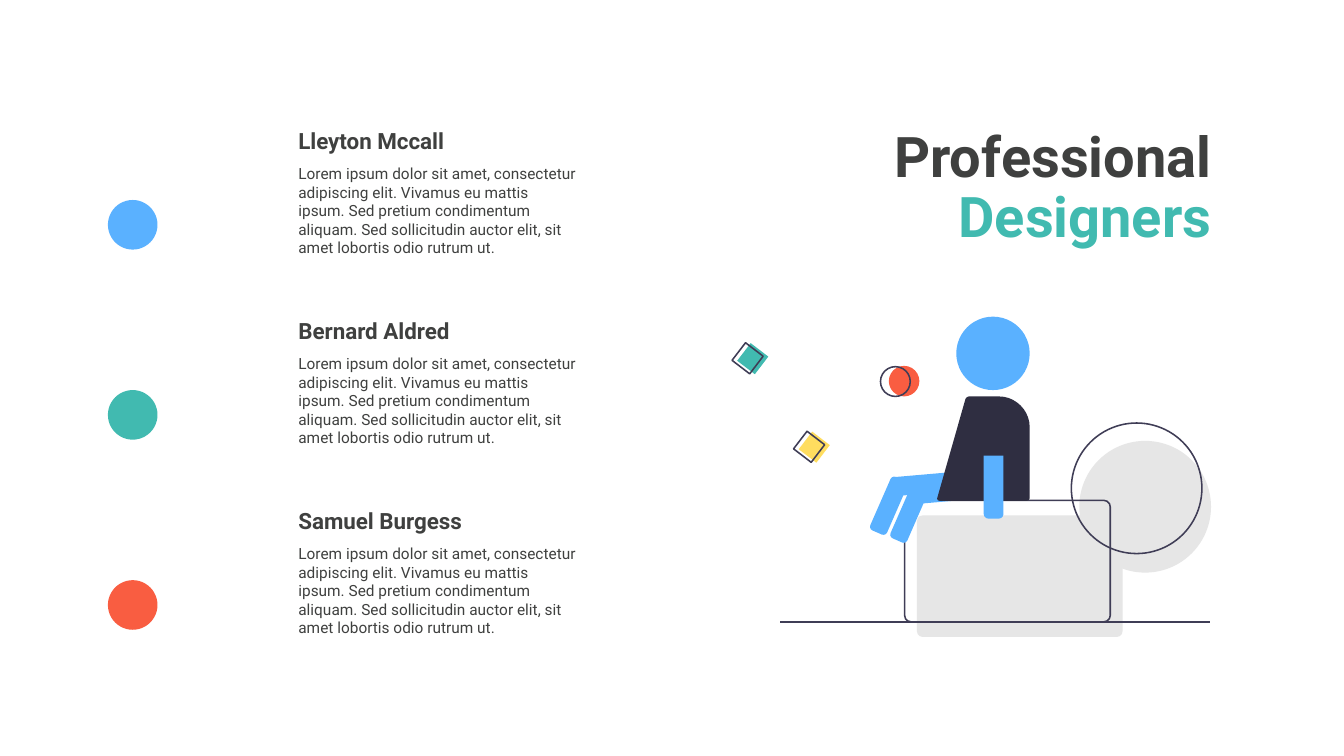
import math
from pptx import Presentation
from pptx import util as u
from pptx.dml.color import RGBColor
from pptx.enum import shapes, text
from pptx.oxml import parse_xml
from pptx.oxml.ns import nsdecls

INK = RGBColor(0x3F, 0x40, 0x3F)
TEAL = RGBColor(0x41, 0xBA, 0xB0)
BLUE = RGBColor(0x5A, 0xB1, 0xFF)
RED = RGBColor(0xF9, 0x5D, 0x41)
GOLD = RGBColor(0xFF, 0xDD, 0x5F)
GREY = RGBColor(0xE6, 0xE6, 0xE6)
LINE = RGBColor(0x3F, 0x3D, 0x56)
DARK = RGBColor(0x2F, 0x2E, 0x41)
OVAL = shapes.MSO_SHAPE.OVAL
RECT = shapes.MSO_SHAPE.RECTANGLE
ROUND = shapes.MSO_SHAPE.ROUNDED_RECTANGLE
SLEEVE = shapes.MSO_SHAPE.ROUND_2_SAME_RECTANGLE

BODY = ("Lorem ipsum dolor sit amet, consectetur adipiscing elit. Vivamus eu "
        "mattis ipsum. Sed pretium condimentum aliquam. Sed sollicitudin "
        "auctor elit, sit amet lobortis odio rutrum ut.")
TEAM = [("Lleyton Mccall", BLUE), ("Bernard Aldred", TEAL), ("Samuel Burgess", RED)]


class Deck:
    font = "Roboto"
    width = u.Pt(1.1)

    def __init__(self):
        self.prs = Presentation()
        self.prs.slide_width = u.Cm(33.87)
        self.prs.slide_height = u.Cm(19.05)
        self.slide = self.prs.slides.add_slide(self.prs.slide_layouts[6])

    def paint(self, item, fill):
        item.shadow.inherit = False
        if fill is None:
            item.fill.background()
            item.line.color.rgb = LINE
            item.line.width = self.width
        else:
            item.fill.solid()
            item.fill.fore_color.rgb = fill
            item.line.fill.background()

    def shape(self, kind, x, y, w, h, fill=None, radius=0, turn=0):
        item = self.slide.shapes.add_shape(kind, u.Cm(x), u.Cm(y), u.Cm(w), u.Cm(h))
        if radius:
            item.adjustments[0] = radius / min(w, h)
        item.rotation = turn
        self.paint(item, fill)

    def outline(self, corners, fill, steps=10):
        points = []
        for i, (x, y, radius) in enumerate(corners):
            ends = []
            for near in (corners[i - 1], corners[(i + 1) % len(corners)]):
                part = radius / math.dist((x, y), near[:2])
                ends.append((x + part * (near[0] - x), y + part * (near[1] - y)))
            for t in (n / steps for n in range(steps + 1)):
                a = (1 - t) ** 3 + 1.35 * t * (1 - t) ** 2
                b = t ** 3 + 1.35 * t ** 2 * (1 - t)
                points.append(tuple(a * p + b * q + (1 - a - b) * c
                                    for p, q, c in zip(*ends, (x, y))))
        points = [(u.Cm(x), u.Cm(y)) for x, y in points]
        form = self.slide.shapes.build_freeform(*points[0])
        form.add_line_segments(points[1:])
        self.paint(form.convert_to_shape(), fill)

    def rule(self, x, y, end):
        item = self.slide.shapes.add_connector(
            shapes.MSO_CONNECTOR.STRAIGHT, u.Cm(x), u.Cm(y), u.Cm(end), u.Cm(y))
        item.line.color.rgb = LINE
        item.line.width = self.width
        item._element.spPr.append(parse_xml("<a:effectLst %s/>" % nsdecls("a")))

    def words(self, x, y, w, h, copy, size, bold=False):
        frame = self.slide.shapes.add_textbox(u.Cm(x), u.Cm(y), u.Cm(w), u.Cm(h)).text_frame
        frame.word_wrap = True
        frame.margin_left = frame.margin_right = 0
        frame.margin_top = frame.margin_bottom = 0
        para = frame.paragraphs[0]
        para.font.name = self.font
        para.font.size = u.Pt(size)
        para.font.bold = bold
        for i, (line, color) in enumerate(copy):
            if i:
                para.add_line_break()
            run = para.add_run()
            run.text = line
            run.font.color.rgb = color
        return frame

    def title(self):
        copy = [("Professional", INK), ("Designers", TEAL)]
        frame = self.words(18.26, 3.05, 12.27, 3.25, copy, 40, True)
        frame.vertical_anchor = text.MSO_ANCHOR.BOTTOM
        frame.paragraphs[0].alignment = text.PP_ALIGN.RIGHT
        frame.paragraphs[0].line_spacing = 0.9

    def leg(self, x, y):
        self.shape(ROUND, x, y, 2.36, 0.48, BLUE, 0.12, -5)
        self.shape(ROUND, x - 0.27, y + 0.08, 0.46, 1.47, BLUE, 0.1, 23.6)

    def tile(self, x, y, fill):
        self.shape(RECT, x, y, 0.56, 0.56, fill, turn=37.4)
        self.shape(RECT, x - 0.13, y - 0.01, 0.56, 0.56, turn=37.4)

    def scene(self):
        self.leg(22.44, 11.93)
        self.shape(OVAL, 27.2, 11.11, 3.32, 3.32, GREY)
        self.shape(ROUND, 23.11, 12.99, 5.18, 3.06, GREY, 0.14)
        self.shape(ROUND, 22.8, 12.61, 5.18, 3.06, radius=0.16)
        self.leg(22.95, 12.13)
        self.tile(18.69, 8.76, TEAL)
        self.shape(OVAL, 22.4, 9.22, 0.77, 0.77, RED)
        self.shape(OVAL, 22.19, 9.24, 0.75, 0.75)
        self.tile(20.24, 10.99, GOLD)
        self.rule(19.66, 15.67, 30.5)
        self.shape(OVAL, 27, 10.66, 3.29, 3.29)
        self.shape(OVAL, 24.1, 7.98, 1.85, 1.85, BLUE)
        self.outline([(24.35, 9.99, 0.08), (25.95, 9.99, 0.78),
                      (25.95, 12.62, 0.08), (23.6, 12.62, 0.08)], DARK)
        self.shape(ROUND, 24.79, 10.7, 0.5, 2.37, BLUE, 0.12)
        self.shape(SLEEVE, 24.63, 10.24, 0.76, 1.24, DARK, 0.38)

    def team(self):
        for i, (name, color) in enumerate(TEAM):
            drop = 4.79 * i
            self.words(7.52, 4.14 + drop, 7.04, 2.39, [(BODY, INK)], 11)
            self.words(7.52, 3.21 + drop, 7.04, 0.66, [(name, INK)], 16, True)
            self.shape(OVAL, 2.72, 5.04 + drop, 1.25, 1.25, color)


def main():
    deck = Deck()
    deck.title()
    deck.scene()
    deck.team()
    deck.prs.save("out.pptx")


if __name__ == "__main__":
    main()
